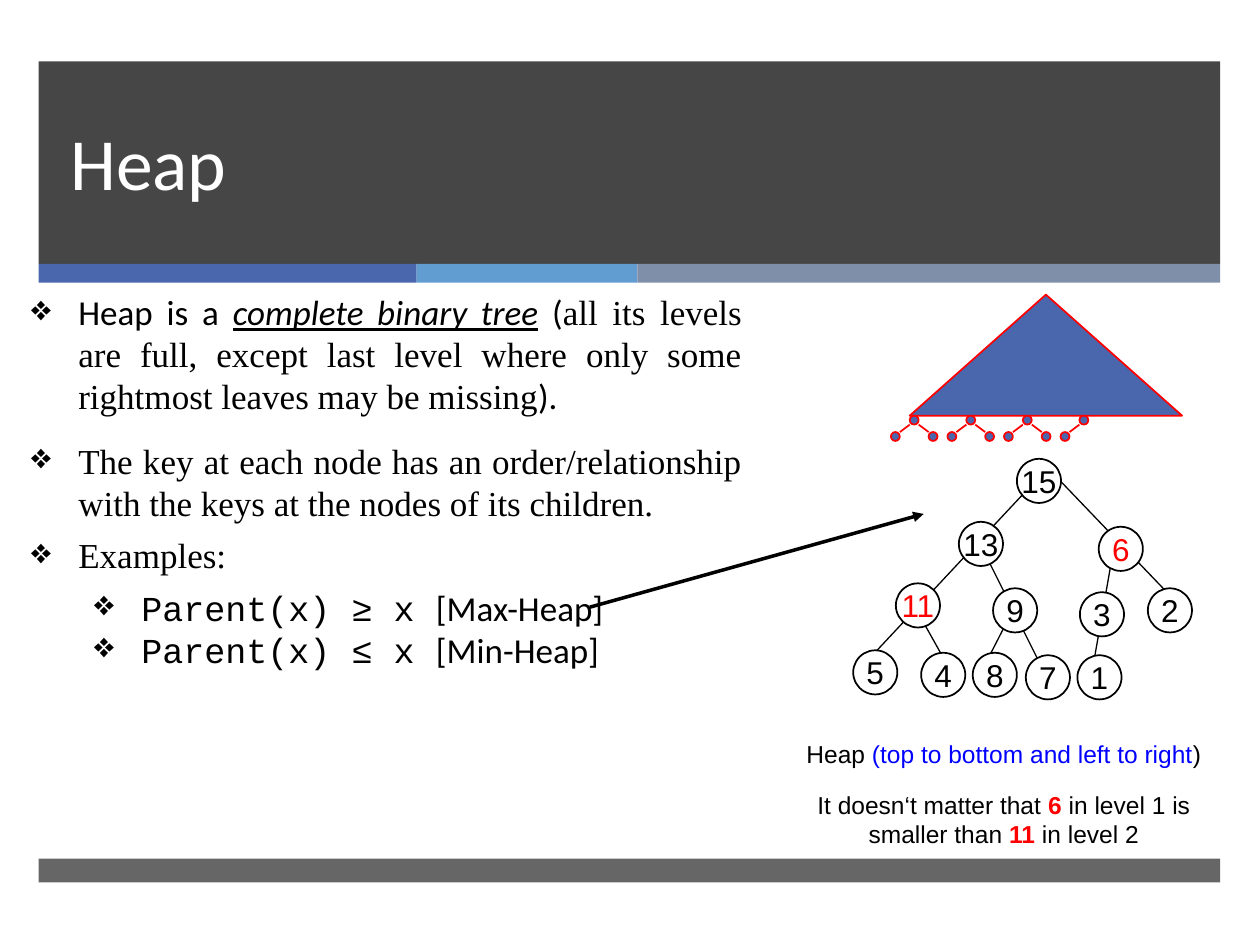
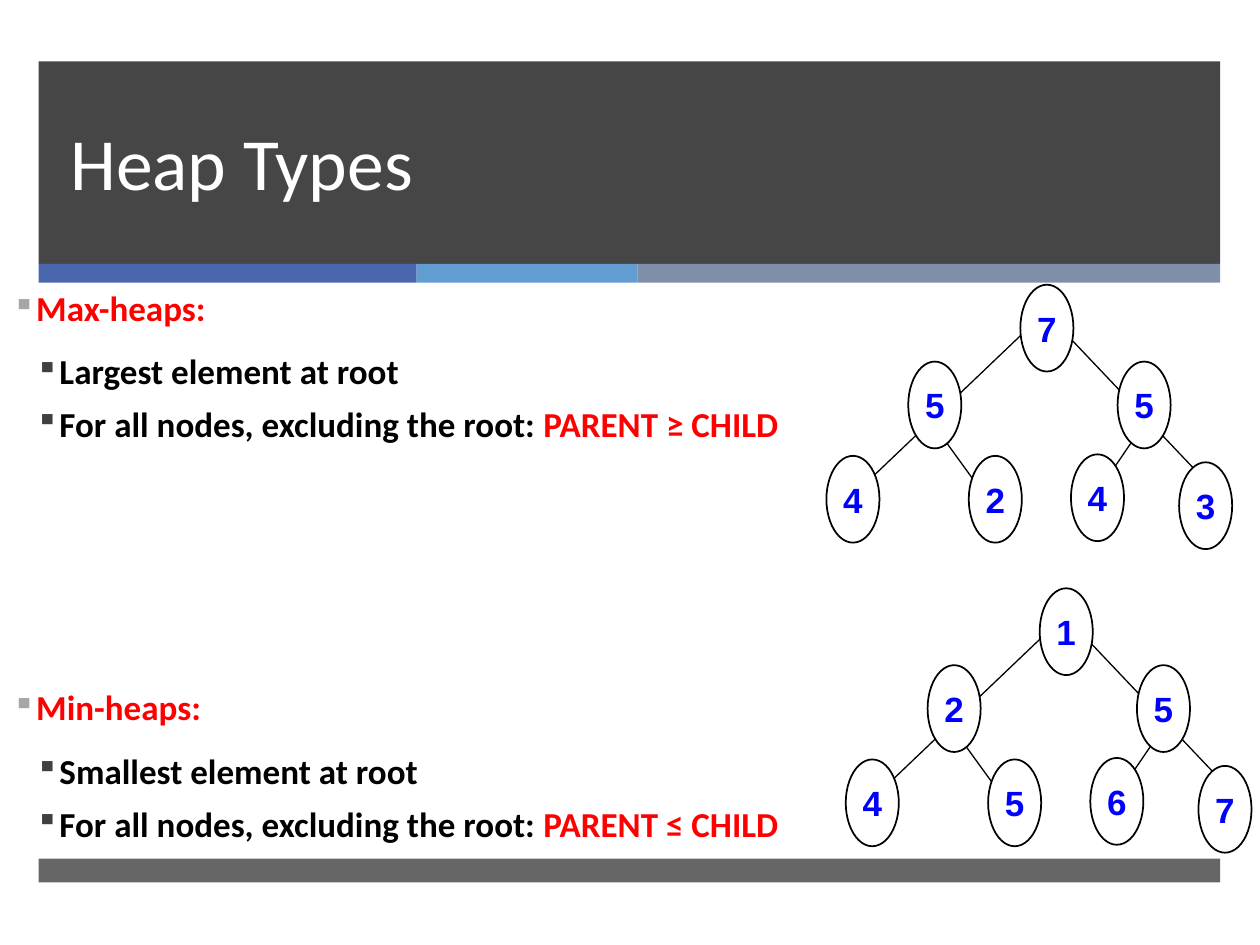
from lxml import etree
from pptx import Presentation
from pptx.dml.color import RGBColor
from pptx.enum import shapes, text
from pptx.oxml.ns import qn
from pptx.util import Cm, Pt

BLACK, WHITE, RED, BLUE = "000000", "FFFFFF", "FF0000", "0000FF"
DARK, ACCENT = "262626", "4A66AC"
BODY, LABEL, CODE, SERIF = "Calibri", "Arial", "Courier New", "Times New Roman"

# Shared frame, in cm: left, top, width, height, colour, opacity in percent
BANDS = [
    (0.78, 1.24, 23.82, 4.08, DARK, 85),
    (0.78, 5.32, 7.62, 0.38, ACCENT, 100),
    (8.4, 5.32, 4.45, 0.38, "629DD1", 100),
    (12.85, 5.32, 11.75, 0.38, "7F8FA9", 100),
    (0.78, 17.31, 23.82, 0.48, DARK, 70),
]

# A run is (text, its differences from the paragraph font)
DIAMOND = dict(bullet="❖", align="JUSTIFY", margin=0.95, hang=0.95)
SUB_DIAMOND = {**DIAMOND, "margin": 2.22, "level": 1}
HEAP_POINTS = [
    ([("Heap is a ", {}),
      ("complete binary tree", dict(italic=True, underline=True)),
      (" (", {}),
      ("all its levels are full, except last level where only some "
       "rightmost leaves may be missing", dict(name=SERIF)),
      (").", {})], dict(DIAMOND, after=12.8)),
    ([("The key at each node has an order/relationship with the keys at "
       "the nodes of its children.", {})], dict(DIAMOND, font=SERIF)),
    ([("Examples:", {})], dict(DIAMOND, font=SERIF, before=6, after=6)),
    ([("Parent(x) ≥ x ", dict(name=CODE)), ("[Max-Heap]", {})], SUB_DIAMOND),
    ([("Parent(x) ≤ x ", dict(name=CODE)), ("[Min-Heap]", {})], SUB_DIAMOND),
]
CAPTION = dict(font=LABEL, size=14, align="CENTER", after=6)
HEAP_CAPTION = [
    ([("Heap ", {}), ("(top to bottom and left to right", dict(color=BLUE)),
      (")", {})], CAPTION),
    ([("It doesn‘t matter that ", {}), ("6", dict(color=RED, bold=True)),
      (" in level 1 is smaller than ", {}),
      ("11", dict(color=RED, bold=True)), (" in level 2", {})],
     dict(CAPTION, before=6)),
]

# Nodes are (left, top); branches are (x1, y1, x2, y2) and pass under the nodes
HEAP_KEYS = [15, 13, 6, 11, 9, 3, 2, 5, 4, 8, 7, 1]
RED_KEYS = (6, 11)
HEAP_NODES = [
    (20.5, 9.25), (19.33, 10.52), (22.15, 10.62),
    (18.06, 11.76), (20.02, 11.86), (21.77, 11.94), (23.14, 11.86),
    (17.2, 13.11), (18.57, 13.16), (19.61, 13.16), (20.68, 13.21), (21.72, 13.21),
]
HEAP_BRANCHES = [
    (19.94, 11.33, 20.98, 13.41), (17.4, 13.41, 20.7, 9.88),
    (23.62, 12.04, 21.36, 9.68), (18.49, 12.32, 19.1, 13.41),
    (20.24, 12.65, 19.86, 13.39), (22.4, 11.35, 22.02, 13.51),
]

TYPE_NODES = [
    (20.57, 5.74), (18.31, 7.29), (22.53, 7.29),
    (16.66, 9.19), (19.53, 9.19), (21.59, 9.16), (23.77, 9.32),
]
TYPE_BRANCHES = [
    (24.82, 10.24, 21.49, 6.73), (19.02, 8.84, 19.81, 9.93),
    (17.12, 10.06, 21.06, 6.3), (22.86, 8.84, 22.12, 9.93),
]
# Name, root rule, order sign, keys, text top, shift of the tree
HEAP_TYPES = [
    ("Max-heaps:", "Largest", "≥", [7, 5, 5, 4, 2, 4, 3], 5.74, (0, 0)),
    ("Min-heaps:", "Smallest", "≤", [1, 2, 5, 4, 5, 6, 7], 13.8, (0.39, 6.12)),
]


def rgb(code):
    return RGBColor.from_string(code)


def style_font(font, name=None, size=None, color=None, **flags):
    if name:
        font.name = name
    if size:
        font.size = Pt(size)
    if color:
        font.color.rgb = rgb(color)
    for flag, value in flags.items():
        setattr(font, flag, value)


def set_bullet(paragraph, mark, margin, hang, color, percent):
    props = paragraph._p.get_or_add_pPr()
    props.set("marL", str(Cm(margin)))
    props.set("indent", str(-Cm(hang)))
    if color:
        holder = etree.SubElement(props, qn("a:buClr"))
        etree.SubElement(holder, qn("a:srgbClr"), val=color)
    etree.SubElement(props, qn("a:buSzPct"), val=str(percent * 1000))
    etree.SubElement(props, qn("a:buChar"), char=mark)


def fill_paragraph(paragraph, runs, font=BODY, size=20, color=BLACK, bold=False,
                   align="LEFT", level=0, before=0, after=0, spacing=None,
                   bullet=None, margin=0, hang=0, bullet_color=None,
                   bullet_size=100):
    paragraph.level = level
    paragraph.alignment = getattr(text.PP_ALIGN, align)
    paragraph.space_before, paragraph.space_after = Pt(before), Pt(after)
    if spacing:
        paragraph.line_spacing = spacing
    if bullet:
        set_bullet(paragraph, bullet, margin, hang, bullet_color, bullet_size)
    style_font(paragraph.font, font, size, color, bold=bold)
    for words, differences in runs:
        run = paragraph.add_run()
        run.text = words
        style_font(run.font, **differences)


def add_text(slide, box, paragraphs, anchor="TOP"):
    frame = slide.shapes.add_textbox(*map(Cm, box)).text_frame
    frame.word_wrap = True
    frame.vertical_anchor = getattr(text.MSO_ANCHOR, anchor)
    for i, (runs, look) in enumerate(paragraphs):
        paragraph = frame.add_paragraph() if i else frame.paragraphs[0]
        fill_paragraph(paragraph, runs, **look)


def add_shape(slide, kind, box, fill, line=None, opacity=100):
    shape = slide.shapes.add_shape(getattr(shapes.MSO_SHAPE, kind), *map(Cm, box))
    shape.shadow.inherit = False
    shape.fill.solid()
    shape.fill.fore_color.rgb = rgb(fill)
    if opacity < 100:
        color = shape._element.spPr.find(".//" + qn("a:srgbClr"))
        etree.SubElement(color, qn("a:alpha"), val=str(opacity * 1000))
    if line:
        shape.line.color.rgb = rgb(line)
        shape.line.width = Pt(1)
    else:
        shape.line.fill.background()
    return shape


def add_line(slide, ends, color=BLACK, width=0.75, arrow=False):
    line = slide.shapes.add_connector(shapes.MSO_CONNECTOR.STRAIGHT, *map(Cm, ends))
    line.line.color.rgb = rgb(color)
    line.line.width = Pt(width)
    if arrow:
        etree.SubElement(line.line._get_or_add_ln(), qn("a:tailEnd"), type="triangle")
    etree.SubElement(line._element.spPr, qn("a:effectLst"))


def add_tree(slide, keys, nodes, branches, node_size, look, shift=(0, 0),
             red_keys=()):
    dx, dy = shift
    for x1, y1, x2, y2 in branches:
        add_line(slide, (x1 + dx, y1 + dy, x2 + dx, y2 + dy))
    for key, (x, y) in zip(keys, nodes):
        node = add_shape(slide, "OVAL", (x + dx, y + dy, *node_size), WHITE, BLACK)
        frame = node.text_frame
        frame.word_wrap = False
        frame.vertical_anchor = text.MSO_ANCHOR.MIDDLE
        key_look = dict(look, color=RED) if key in red_keys else look
        fill_paragraph(frame.paragraphs[0], [(str(key), {})], font=LABEL,
                       align="CENTER", **key_look)


def add_leaf_row(slide):
    """The triangle of full levels over a last level that lacks one leaf."""
    dot, step, reach, top, leaf_top = 0.18, 1.14, 0.38, 8.38, 8.71
    add_shape(slide, "ISOSCELES_TRIANGLE", (18.34, 5.94, 5.49, 2.44), ACCENT, RED)
    for i in range(4):
        x = 18.34 + i * step
        add_shape(slide, "OVAL", (x, top, dot, dot), ACCENT, RED)
        for side in (-1, 1) if i < 3 else (-1,):
            leaf = x + side * reach
            add_shape(slide, "OVAL", (leaf, leaf_top, dot, dot), ACCENT, RED)
            start, end = (x, leaf + dot) if side < 0 else (x + dot, leaf)
            add_line(slide, (start, top + dot, end, leaf_top), RED, 1)


def new_slide(deck, title):
    slide = deck.slides.add_slide(deck.slide_layouts[6])
    for *box, color, opacity in BANDS:
        add_shape(slide, "RECTANGLE", box, color, opacity=opacity)
    look = dict(size=42, color=WHITE, spacing=Pt(46))
    add_text(slide, (1.17, 1.24, 21.69, 3.02), [([(title, {})], look)], "BOTTOM")
    return slide


def heap_slide(deck):
    slide = new_slide(deck, "Heap")
    add_text(slide, (0.38, 5.74, 14.83, 7.98), HEAP_POINTS)
    add_text(slide, (15.88, 14.78, 8.71, 2.49), HEAP_CAPTION)
    add_leaf_row(slide)
    add_line(slide, (11.89, 12.24, 18.62, 10.36), width=2, arrow=True)
    add_tree(slide, HEAP_KEYS, HEAP_NODES, HEAP_BRANCHES, (0.89, 0.89),
             dict(size=18), red_keys=RED_KEYS)


def heap_types_slide(deck):
    slide = new_slide(deck, "Heap Types")
    square = dict(bullet="▪", hang=0.48, bullet_size=90, bold=True)
    heading = dict(square, margin=0.48, bullet_color="A6A6A6", color=RED,
                   spacing=0.9, after=6)
    point = dict(square, margin=0.95, bullet_color="404040", before=6, level=1)
    for name, root, sign, keys, top, shift in HEAP_TYPES:
        add_text(slide, (0, top, 16, 3.5), [
            ([(name, {})], heading),
            ([(f"{root} element at root", {})], point),
            ([("For all nodes, excluding the root: ", {}),
              (f"PARENT {sign} CHILD", dict(color=RED))], point),
        ])
        add_tree(slide, keys, TYPE_NODES, TYPE_BRANCHES, (1.07, 1.75),
                 dict(size=20, color=BLUE, bold=True), shift)


def main():
    deck = Presentation()
    deck.slide_width, deck.slide_height = Cm(25.4), Cm(19.05)
    heap_slide(deck)
    heap_types_slide(deck)
    deck.save("out.pptx")


if __name__ == "__main__":
    main()
